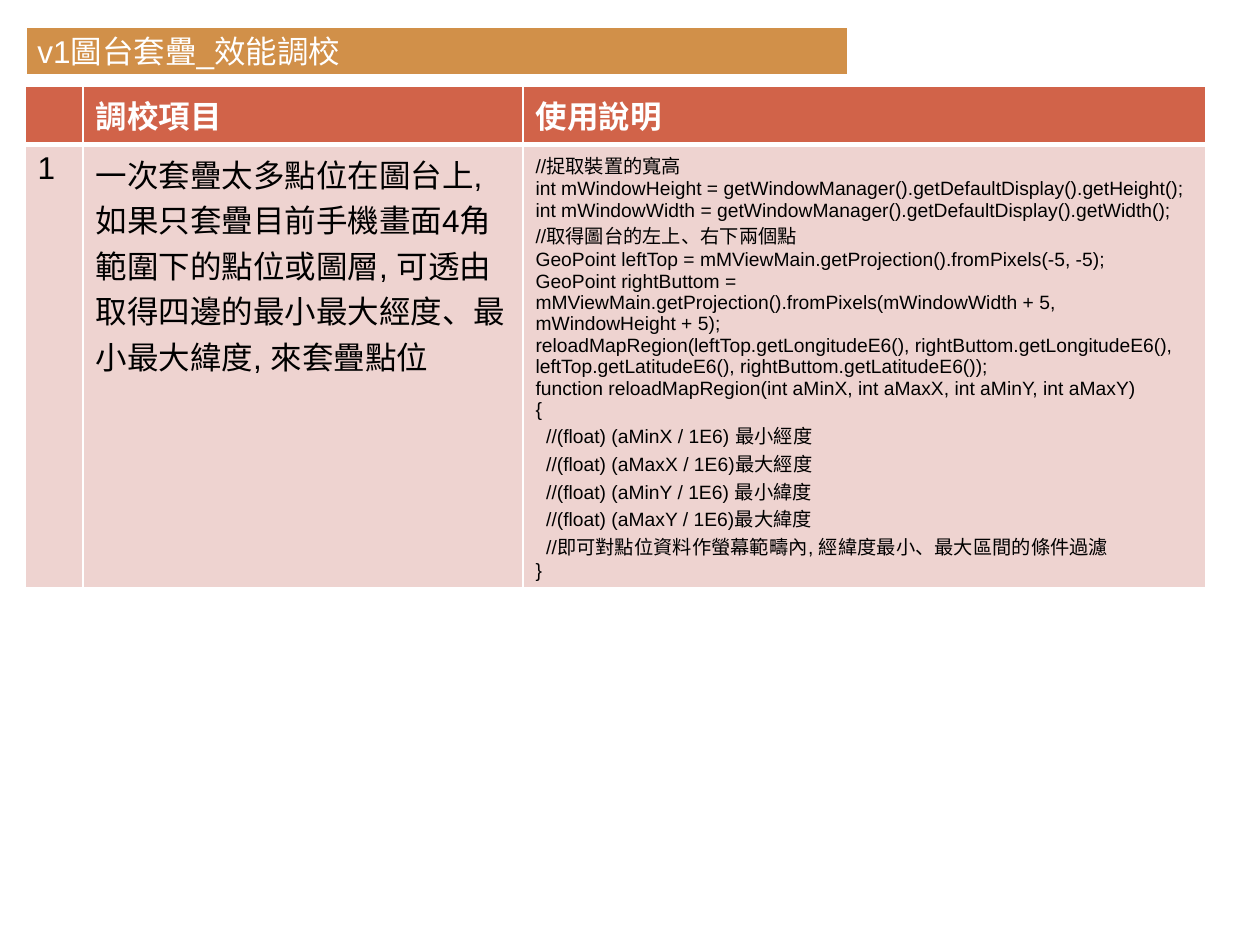
from lxml import etree
from pptx import Presentation
from pptx import util as u
from pptx.dml.color import RGBColor
from pptx.enum import shapes, text
from pptx.oxml.ns import qn

# Content
TITLE = "v1圖台套疊_效能調校"
HEADERS = ["", "調校項目", "使用說明"]
ITEM = [
    "一次套疊太多點位在圖台上,",
    "如果只套疊目前手機畫面4角",
    "範圍下的點位或圖層, 可透由",
    "取得四邊的最小最大經度、最小最大緯度, 來套疊點位",
]
CODE = [
    "//捉取裝置的寬高",
    "int mWindowHeight = getWindowManager().getDefaultDisplay().getHeight();",
    "int mWindowWidth = getWindowManager().getDefaultDisplay().getWidth();",
    "//取得圖台的左上、右下兩個點",
    "GeoPoint leftTop = mMViewMain.getProjection().fromPixels(-5, -5);",
    "GeoPoint rightButtom = mMViewMain.getProjection().fromPixels(mWindowWidth + 5, mWindowHeight + 5);",
    "reloadMapRegion(leftTop.getLongitudeE6(), rightButtom.getLongitudeE6(), "
    "leftTop.getLatitudeE6(), rightButtom.getLatitudeE6());",
    "function reloadMapRegion(int aMinX, int aMaxX, int aMinY, int aMaxY)",
    "{",
    "  //(float) (aMinX / 1E6) 最小經度",
    "  //(float) (aMaxX / 1E6)最大經度",
    "  //(float) (aMinY / 1E6) 最小緯度",
    "  //(float) (aMaxY / 1E6)最大緯度",
    "  //即可對點位資料作螢幕範疇內, 經緯度最小、最大區間的條件過濾",
    "}",
]

# Layout in px
COLUMN_WIDTHS = [58, 440, 683]
ROW_HEIGHTS = [42, 437]
TABLE_LEFT, TABLE_TOP = 25, 86
TITLE_BOX = (25, 26, 824, 50)

WHITE = RGBColor(0xFF, 0xFF, 0xFF)
BLACK = RGBColor(0x00, 0x00, 0x00)
ORANGE = RGBColor(0xD1, 0x90, 0x49)
RED = RGBColor(0xD1, 0x63, 0x49)
PINK = RGBColor(0xEE, 0xD3, 0xD0)


def px(value):
    return u.Emu(round(value * 914400 / 126))


def write(frame, lines, size=18, color=BLACK, bold=False):
    for index, line in enumerate(lines):
        paragraph = frame.paragraphs[0] if index == 0 else frame.add_paragraph()
        paragraph.alignment = text.PP_ALIGN.LEFT
        run = paragraph.add_run()
        run.text = line
        run.font.name = "Arial"
        run.font.size = u.Pt(size)
        run.font.bold = bold
        run.font.color.rgb = color


def set_borders(cell, **widths):
    properties = cell._tc.get_or_add_tcPr()
    for position, side in enumerate(("L", "R", "T", "B")):
        line = etree.Element(qn(f"a:ln{side}"), w=str(u.Pt(widths.get(side, 1))))
        fill = etree.SubElement(line, qn("a:solidFill"))
        etree.SubElement(fill, qn("a:srgbClr"), val=str(WHITE))
        properties.insert(position, line)


presentation = Presentation()
presentation.slide_width, presentation.slide_height = u.Inches(10), u.Inches(7.5)
slide = presentation.slides.add_slide(presentation.slide_layouts[6])

# Tuning table
table = slide.shapes.add_table(
    len(ROW_HEIGHTS), len(COLUMN_WIDTHS), px(TABLE_LEFT), px(TABLE_TOP),
    px(sum(COLUMN_WIDTHS)), px(sum(ROW_HEIGHTS))).table
for column, width in zip(table.columns, COLUMN_WIDTHS):
    column.width = px(width)
for row, height in zip(table.rows, ROW_HEIGHTS):
    row.height = px(height)

body = [(["1"], 18), (ITEM, 18), (CODE, 11)]
for index, (header, (lines, size)) in enumerate(zip(HEADERS, body)):
    head_cell, body_cell = table.cell(0, index), table.cell(1, index)
    for cell, color in ((head_cell, RED), (body_cell, PINK)):
        cell.fill.solid()
        cell.fill.fore_color.rgb = color
    set_borders(head_cell, B=3)
    set_borders(body_cell, T=3)
    if header:
        write(head_cell.text_frame, [header], color=WHITE, bold=True)
    write(body_cell.text_frame, lines, size=size)

# Title bar
title = slide.shapes.add_shape(shapes.MSO_SHAPE.RECTANGLE, *map(px, TITLE_BOX))
title.shadow.inherit = False
title.fill.solid()
title.fill.fore_color.rgb = ORANGE
title.line.color.rgb = WHITE
title.line.width = u.Pt(2.5)
title.text_frame.word_wrap = True
title.text_frame.vertical_anchor = text.MSO_ANCHOR.MIDDLE
write(title.text_frame, [TITLE], color=WHITE)

presentation.save("out.pptx")
